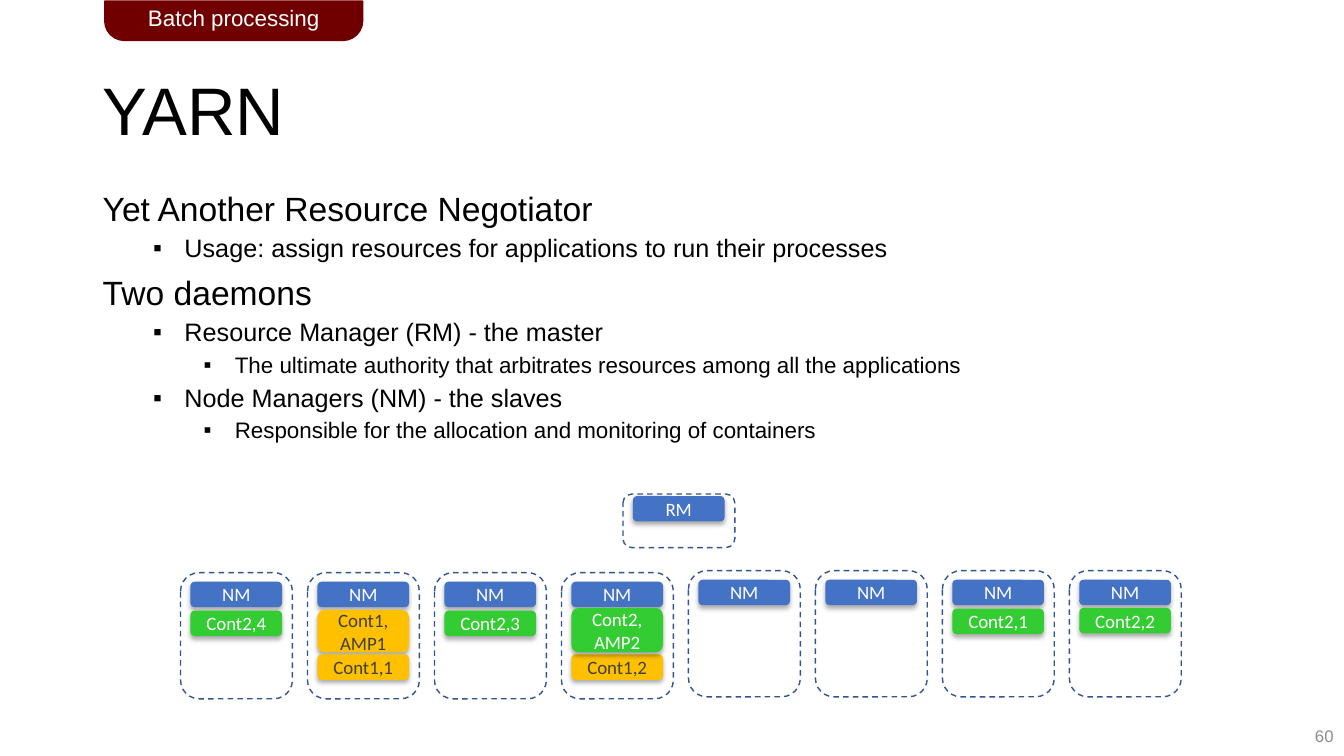
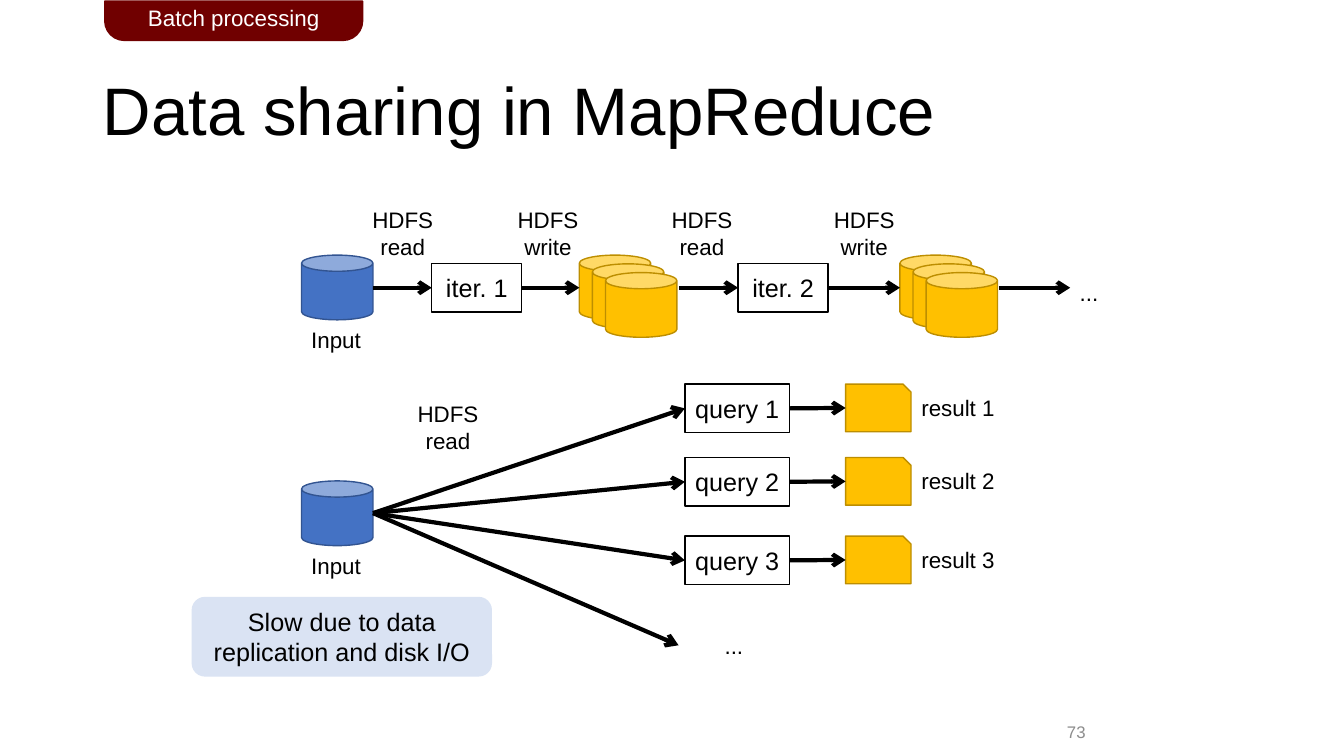
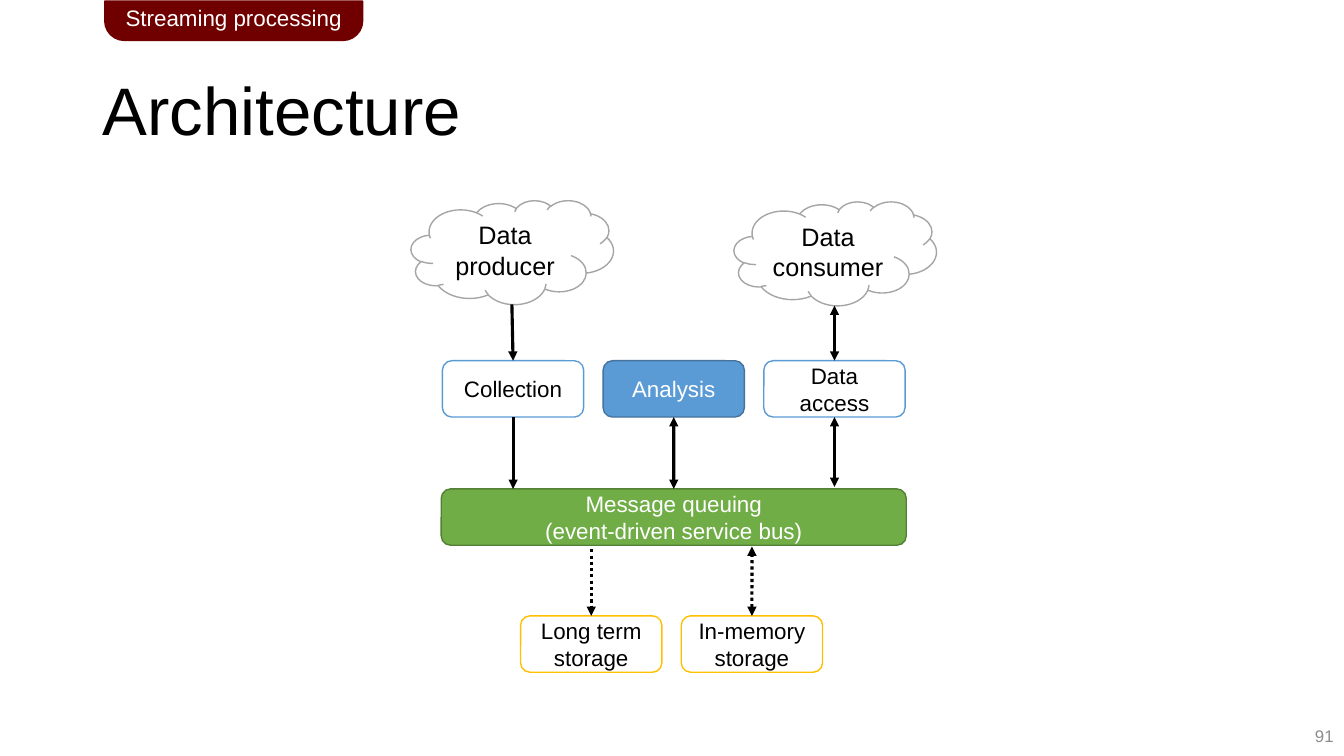
from dataclasses import dataclass, replace
from typing import Optional, Union

from lxml.etree import SubElement
from pptx import Presentation
from pptx.dml.color import RGBColor
from pptx.enum.dml import MSO_LINE as Dash
from pptx.enum.shapes import MSO_CONNECTOR as Wire, MSO_SHAPE as Kind
from pptx.enum.text import MSO_ANCHOR as Anchor, PP_ALIGN as Align
from pptx.oxml.ns import qn
from pptx.shapes.autoshape import Shape
from pptx.slide import Slide
from pptx.util import Cm, Pt

HUES = {
    "black": "000000", "white": "FFFFFF", "grey": "8C8C8C", "dark": "404040",
    "maroon": "700000", "blue": "4472C4", "navy": "325491", "pale": "DAE3F3",
    "gold": "FFC000", "bronze": "BD8E00", "lime": "33CC33", "sky": "5B9BD5",
    "steel": "43739E", "green": "70AD47", "moss": "538035", "silver": "A5A5A5",
}
TOP, LEFT, BASE, RIGHT = range(4)


@dataclass(frozen=True)
class Box:
    """A frame in centimetres."""
    x: float
    y: float
    w: float
    h: float

    def place(self) -> tuple:
        return Cm(self.x), Cm(self.y), Cm(self.w), Cm(self.h)


@dataclass(frozen=True)
class Font:
    size: float = 16
    hue: str = "black"
    face: str = "Arial"


@dataclass(frozen=True)
class Look:
    kind: Kind = Kind.ROUNDED_RECTANGLE
    fill: Optional[str] = None
    line: Optional[str] = None
    font: Font = Font()
    dash: Optional[Dash] = None
    glow: bool = False


@dataclass(frozen=True)
class Chip:
    text: str
    look: Look
    drop: float
    high: float = 0.64


@dataclass(frozen=True)
class Item:
    text: str
    level: int


@dataclass(frozen=True)
class Pen:
    width: float
    tip: str
    both: bool = False
    dash: Optional[Dash] = None


Point = tuple[float, float]
Joint = tuple[Shape, int]
End = Union[Point, Joint]

TAB = Look(Kind.ROUND_2_SAME_RECTANGLE, "maroon", "maroon", Font(16, "white"))
NODE = Look(line="navy", dash=Dash.DASH)
DAEMON = Look(fill="blue", font=Font(13.5, "white", "Calibri"), glow=True)
JOB1 = replace(DAEMON, fill="gold", font=Font(13.5, "dark", "Calibri"))
JOB2 = replace(DAEMON, fill="lime")
INPUT = Look(Kind.CAN, "blue", "navy")
COPY = Look(Kind.CAN, "gold", "bronze")
RESULT = Look(Kind.SNIP_1_RECTANGLE, "gold", "bronze")
STEP = Look(Kind.RECTANGLE, "white", "black", Font(18))
NOTE = Look(fill="pale", font=Font(18))
CLOUD = Look(Kind.CLOUD, "white", "silver", Font(18))
STAGE = Look(fill="white", line="sky")
CORE = Look(fill="sky", line="steel", font=Font(16, "white"))
BUS = Look(fill="green", line="moss", font=Font(16, "white"))
STORE = Look(fill="white", line="gold")

FLOW = Pen(3, "arrow")
ONE = Pen(2.25, "triangle")
TWO = replace(ONE, both=True)


def color(name: str) -> RGBColor:
    return RGBColor.from_string(HUES[name])


def style(par, font: Font) -> None:
    """Format the runs of a paragraph and the line breaks between them."""
    for run in par.runs:
        run.font.size = Pt(font.size)
        run.font.name = font.face
        run.font.color.rgb = color(font.hue)
    for gap in par._p.findall(qn("a:br")):
        SubElement(gap, qn("a:rPr"), sz=str(int(font.size * 100)))


def write(shape: Shape, text: str, font: Font, align: Align) -> None:
    shape.text_frame.text = text
    for par in shape.text_frame.paragraphs:
        par.alignment = align
        style(par, font)


def label(slide: Slide, box: Box, text: str, font: Font = Font(),
          align: Align = Align.CENTER, anchor: Anchor = Anchor.TOP,
          wrap: bool = False) -> Shape:
    shape = slide.shapes.add_textbox(*box.place())
    frame = shape.text_frame
    frame.word_wrap = wrap
    frame.vertical_anchor = anchor
    write(shape, text, font, align)
    return shape


def draw(shapes, box: Box, look: Look, text: str = "") -> Shape:
    shape = shapes.add_shape(look.kind, *box.place())
    shape.shadow.inherit = False
    if look.fill:
        shape.fill.solid()
        shape.fill.fore_color.rgb = color(look.fill)
    else:
        shape.fill.background()
    if look.line:
        shape.line.color.rgb = color(look.line)
        shape.line.width = Pt(1)
        if look.dash:
            shape.line.dash_style = look.dash
    else:
        shape.line.fill.background()
    if look.glow:
        cast(shape)
    if text:
        shape.text_frame.word_wrap = True
        shape.text_frame.vertical_anchor = Anchor.MIDDLE
        write(shape, text, look.font, Align.CENTER)
    return shape


def cast(shape: Shape) -> None:
    """Give the shape a soft shadow below it."""
    effects = shape._element.spPr.find(qn("a:effectLst"))
    shade = SubElement(effects, qn("a:outerShdw"), blurRad=str(Pt(3.5)),
                       dist=str(Pt(2.2)), dir="5400000", rotWithShape="0")
    tone = SubElement(shade, qn("a:srgbClr"), val=HUES["black"])
    SubElement(tone, qn("a:alpha"), val="32000")


def arrow(slide: Slide, start: End, end: End, pen: Pen) -> None:
    """Draw an arrow between points or joints (a shape and its side)."""
    spots = [(0, 0) if isinstance(e[0], Shape) else e for e in (start, end)]
    wire = slide.shapes.add_connector(
        Wire.STRAIGHT, *(Cm(v) for spot in spots for v in spot))
    if isinstance(start[0], Shape):
        wire.begin_connect(*start)
    if isinstance(end[0], Shape):
        wire.end_connect(*end)
    wire.line.color.rgb = color("black")
    wire.line.width = Pt(pen.width)
    if pen.dash:
        wire.line.dash_style = pen.dash
    props = wire._element.spPr
    line = props.find(qn("a:ln"))
    if pen.both:
        SubElement(line, qn("a:headEnd"), type=pen.tip)
    SubElement(line, qn("a:tailEnd"), type=pen.tip)
    SubElement(props, qn("a:effectLst"))


def start(deck, title: str, part: str, number: str,
          foot: Box = Box(26.24, 18.03, 7.62, 1.02)) -> Slide:
    """Add a slide with its title, section tab and number."""
    slide = deck.slides.add_slide(deck.slide_layouts[6])
    head = label(slide, Box(2.34, 1.02, 29.21, 3.68), title, Font(48),
                 Align.LEFT, Anchor.MIDDLE, True)
    head.text_frame.paragraphs[0].line_spacing = 0.9
    label(slide, foot, number, Font(12, "grey"), Align.RIGHT,
          Anchor.MIDDLE, True)
    tab = draw(slide.shapes, Box(2.64, 0.03, 6.5, 0.99), TAB, part)
    tab.adjustments[0], tab.adjustments[1] = 0, 0.5
    return slide


def outline(slide: Slide, box: Box, items: list[Item]) -> None:
    body = label(slide, box, "\n".join(i.text for i in items),
                 align=Align.LEFT, wrap=True)
    for index, (par, item) in enumerate(zip(body.text_frame.paragraphs, items)):
        par.level = item.level
        par.line_spacing = 0.9
        if index:
            par.space_before = Pt(5 if item.level else 10)
        if item.level:
            props = par._p.get_or_add_pPr()
            props.set("marL", str(Cm(0.79 + 1.27 * item.level)))
            props.set("indent", str(Cm(-0.79)))
            SubElement(props, qn("a:buFont"), typeface="Arial")
            SubElement(props, qn("a:buChar"), char="▪")
        style(par, Font((24, 18, 16)[item.level]))


def node(slide: Slide, box: Box, chips: list[Chip]) -> None:
    """Draw a machine and the processes stacked in it."""
    draw(slide.shapes, box, NODE)
    for chip in chips:
        spot = Box(box.x + 0.25, box.y + chip.drop, 2.31, chip.high)
        draw(slide.shapes, spot, chip.look, chip.text)


def yarn(deck) -> None:
    slide = start(deck, "YARN", "Batch processing", "60")
    outline(slide, Box(2.34, 4.72, 29.21, 12.09), [
        Item("Yet Another Resource Negotiator", 0),
        Item("Usage: assign resources for applications to run their processes", 1),
        Item("Two daemons", 0),
        Item("Resource Manager (RM) - the master", 1),
        Item("The ultimate authority that arbitrates resources among all the "
             "applications", 2),
        Item("Node Managers (NM) - the slaves", 1),
        Item("Responsible for the allocation and monitoring of containers", 2),
    ])
    node(slide, Box(15.7, 12.45, 2.82, 1.35), [Chip("RM", DAEMON, 0.05)])
    loads = [
        [Chip("Cont2,4", JOB2, 0.96)],
        [Chip("Cont1,\vAMP1", JOB1, 0.94, 1.07), Chip("Cont1,1", JOB1, 2.06)],
        [Chip("Cont2,3", JOB2, 0.96)],
        [Chip("Cont1,2", JOB1, 2.06), Chip("Cont2,\vAMP2", JOB2, 0.89, 1.12)],
        [],
        [],
        [Chip("Cont2,1", JOB2, 0.96)],
        [Chip("Cont2,2", JOB2, 0.94)],
    ]
    for index, load in enumerate(loads):
        top = 14.43 if index < 4 else 14.38
        box = Box(4.55 + 3.2 * index, top, 2.82, 3.18)
        node(slide, box, [Chip("NM", DAEMON, 0.23), *load])


def sharing(deck) -> None:
    slide = start(deck, "Data sharing in MapReduce", "Batch processing", "73",
                  Box(24.87, 17.93, 2.74, 1.02))
    shapes = slide.shapes
    for y in (6.43, 12.12):
        draw(shapes, Box(7.6, y, 1.8, 1.63), INPUT)
        label(slide, Box(7.58, y + 1.66, 1.78, 0.94), "Input")

    axis = 7.25
    entry = (9.4, axis)
    rounds = [("iter. 1", 10.88, 14.6, 17.12), ("iter. 2", 18.6, 22.68, 25.17)]
    for name, x, pile, leave in rounds:
        group = shapes.add_group_shape()
        for k in range(3):
            can = Box(pile + 0.33 * k, 6.43 + 0.22 * k, 1.8, 1.63)
            draw(group.shapes, can, COPY)
        step = draw(shapes, Box(x, axis - 0.61, 2.27, 1.22), STEP, name)
        arrow(slide, entry, (step, LEFT), FLOW)
        arrow(slide, (step, RIGHT), (pile, axis), FLOW)
        entry = (leave, axis)
    arrow(slide, entry, (26.97, axis), FLOW)
    label(slide, Box(26.95, 6.91, 0.99, 0.94), "...")

    hdfs = [("read", 9.12, 5.08), ("write", 12.78, 5.08), ("read", 16.66, 5.08),
            ("write", 20.75, 5.08), ("read", 10.26, 9.96)]
    for verb, x, y in hdfs:
        label(slide, Box(x, y, 2.06, 1.63), f"HDFS\v{verb}")

    source = (9.4, 12.93)
    for index, y in enumerate((9.68, 11.53, 13.51), 1):
        query = draw(shapes, Box(17.26, y, 2.64, 1.22), STEP, f"query {index}")
        draw(shapes, Box(21.31, y, 1.65, 1.2), RESULT)
        arrow(slide, source, (query, LEFT), FLOW)
        arrow(slide, (query, RIGHT), (21.31, y + 0.6), FLOW)
        label(slide, Box(22.97, y + 0.12, 2.39, 0.94), f"result {index}",
              align=Align.LEFT)
    arrow(slide, source, (17.1, 16.26), FLOW)
    label(slide, Box(17.1, 15.8, 2.79, 0.94), "...", wrap=True)
    draw(shapes, Box(4.83, 15.04, 7.57, 2.01), NOTE,
         "Slow due to data replication and disk I/O")


def design(deck) -> None:
    slide = start(deck, "Architecture", "Streaming processing", "91")
    shapes = slide.shapes
    for name, x, y in (("producer", 10.36, 5.05), ("consumer", 18.5, 5.08)):
        draw(shapes, Box(x, y, 5.1, 2.62), CLOUD, f"Data {name}")

    pitch = 4.05
    stages = [("Collection", STAGE), ("Analysis", CORE), ("Data access", STAGE)]
    gather, study, access = (
        draw(shapes, Box(11.15 + pitch * k, 9.09, 3.56, 1.42), look, name)
        for k, (name, look) in enumerate(stages))
    bus = draw(shapes, Box(11.12, 12.32, 11.72, 1.42), BUS,
               "Message queuing\n(event-driven service bus)")
    disk, cache = (
        draw(shapes, Box(13.12 + pitch * k, 15.52, 3.56, 1.42), STORE, name)
        for k, name in enumerate(("Long term storage", "In-memory storage")))

    arrow(slide, (12.9, 7.67), (gather, TOP), ONE)
    arrow(slide, (gather, BASE), (12.93, 12.32), ONE)
    arrow(slide, (study, BASE), (bus, TOP), TWO)
    arrow(slide, (access, TOP), (21.03, 7.7), TWO)
    arrow(slide, (access, BASE), (21.03, 12.27), TWO)
    arrow(slide, (14.9, 13.84), (disk, TOP), replace(ONE, dash=Dash.ROUND_DOT))
    arrow(slide, (cache, TOP), (18.95, 13.77), replace(TWO, dash=Dash.ROUND_DOT))


def main() -> None:
    deck = Presentation()
    deck.slide_width, deck.slide_height = Cm(33.87), Cm(19.05)
    for build in (yarn, sharing, design):
        build(deck)
    deck.save("out.pptx")


if __name__ == "__main__":
    main()
